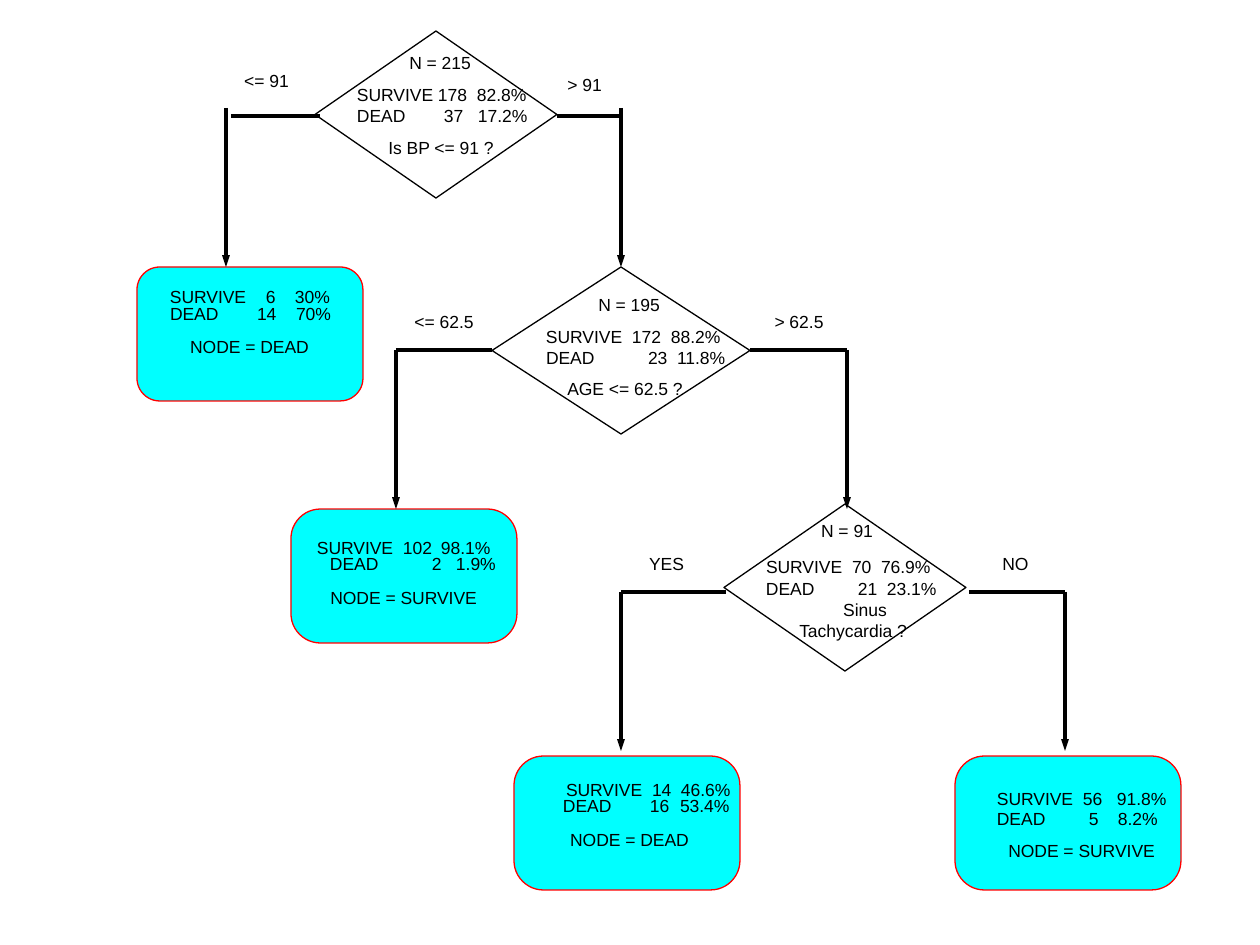
from lxml import etree
from pptx import Presentation
from pptx import util as u
from pptx.dml.color import RGBColor
from pptx.enum import shapes, text
from pptx.oxml.ns import qn

SCALE = 914400 / 126
BLACK = RGBColor(0, 0, 0)
RED = RGBColor(255, 0, 0)
CYAN = RGBColor(0, 255, 255)
TEXT_H = 21
SLACK = 4
NODE_H = 167
LEAF_W, LEAF_H = 226, 134

CHECKS = [(315, 31, 242), (492, 267, 258), (724, 504, 242)]
LEAVES = [(137, 267, 0.17), (291, 509, 0.22), (514, 756, 0.22), (955, 756, 0.22)]
BARS = [
    (231, 116, 320), (557, 116, 621),
    (396, 350, 492), (750, 350, 847),
    (621, 592, 726), (969, 592, 1065),
]
DROPS = [
    (226, 108, 267), (621, 108, 267),
    (396, 350, 509), (847, 350, 509),
    (621, 592, 751), (1065, 592, 751),
]
COUNTS = [
    (357, 84, "SURVIVE", "178", "82.8%", 81, 120),
    (357, 105, "DEAD", "37", "17.2%", 87, 121),
    (546, 326, "SURVIVE", "172", "88.2%", 86, 125),
    (546, 347, "DEAD", "23", "11.8%", 102, 131),
    (766, 556, "SURVIVE", "70", "76.9%", 86, 115),
    (766, 578, "DEAD", "21", "23.1%", 92, 121),
    (170, 286, "SURVIVE", "6", "30%", 96, 125),
    (170, 303, "DEAD", "14", "70%", 87, 126),
    (317, 537, "SURVIVE", "102", "98.1%", 86, 124),
    (330, 553, "DEAD", "2", "1.9%", 102, 126),
    (566, 779, "SURVIVE", "14", "46.6%", 86, 115),
    (563, 795, "DEAD", "16", "53.4%", 87, 117),
    (997, 788, "SURVIVE", "56", "91.8%", 86, 120),
    (997, 808, "DEAD", "5", "8.2%", 92, 121),
]
LABELS = [
    ("N = 215", 409, 52, 62), ("Is BP <= 91 ?", 388, 137, 106),
    ("N = 195", 598, 294, 62), ("AGE <= 62.5 ?", 567, 378, 116),
    ("N = 91", 821, 520, 52), ("Sinus", 843, 599, 44),
    ("Tachycardia ?", 798, 620, 110),
    ("NODE = DEAD", 190, 336, 119), ("NODE = SURVIVE", 330, 587, 147),
    ("NODE = DEAD", 570, 829, 119), ("NODE = SURVIVE", 1008, 840, 147),
    ("<= 91", 244, 70, 45), ("> 91", 567, 74, 35),
    ("<= 62.5", 414, 311, 60), ("> 62.5", 774, 311, 50),
    ("YES", 649, 553, 35), ("NO", 1002, 553, 27),
]


def px(*sizes):
    return [u.Emu(round(size * SCALE)) for size in sizes]


def add_node(slide, kind, box, edge, fill=None):
    node = slide.shapes.add_shape(kind, *px(*box))
    node.shadow.inherit = False
    node.line.color.rgb = edge
    node.line.width = u.Pt(0.75)
    if fill is None:
        node.fill.background()
    else:
        node.fill.solid()
        node.fill.fore_color.rgb = fill
    return node


def add_line(slide, start, end, head=False):
    line = slide.shapes.add_connector(
        shapes.MSO_CONNECTOR.STRAIGHT, *px(*start, *end))
    line.line.color.rgb = BLACK
    line.line.width = u.Pt(2.25)
    if head:
        etree.SubElement(line.line._get_or_add_ln(), qn("a:tailEnd"),
                         type="triangle", w="sm", len="med")
    etree.SubElement(line._element.spPr, qn("a:effectLst"))


def add_text(slide, words, left, top, width, tabs=()):
    box = slide.shapes.add_textbox(*px(left, top, width, TEXT_H))
    frame = box.text_frame
    frame.margin_left = frame.margin_right = 0
    frame.margin_top = frame.margin_bottom = 0
    frame.word_wrap = bool(tabs)
    para = frame.paragraphs[0]
    para.text = words
    para.alignment = text.PP_ALIGN.LEFT if tabs else text.PP_ALIGN.CENTER
    if tabs:
        stops = etree.SubElement(para._p.get_or_add_pPr(), qn("a:tabLst"))
        for stop in px(*tabs):
            etree.SubElement(stops, qn("a:tab"), pos=str(stop), algn="l")
    para.font.name = "Arial"
    para.font.size = u.Pt(10)
    para.font.color.rgb = BLACK


def main():
    deck = Presentation()
    deck.slide_width, deck.slide_height = px(1260, 945)
    slide = deck.slides.add_slide(deck.slide_layouts[6])
    for left, top, width in CHECKS:
        add_node(slide, shapes.MSO_SHAPE.DIAMOND,
                 (left, top, width, NODE_H), BLACK)
    for left, top, curve in LEAVES:
        leaf = add_node(slide, shapes.MSO_SHAPE.ROUNDED_RECTANGLE,
                        (left, top, LEAF_W, LEAF_H), RED, CYAN)
        leaf.adjustments[0] = curve
    for left, y, right in BARS:
        add_line(slide, (left, y), (right, y))
    for x, top, end in DROPS:
        add_line(slide, (x, top), (x, end), head=True)
    for left, top, name, count, share, *tabs in COUNTS:
        add_text(slide, f"{name}\t{count}\t{share}", left, top,
                 tabs[-1] + 54, tabs)
    for words, left, top, width in LABELS:
        add_text(slide, words, left - SLACK, top, width + 2 * SLACK)
    deck.save("out.pptx")


if __name__ == "__main__":
    main()
